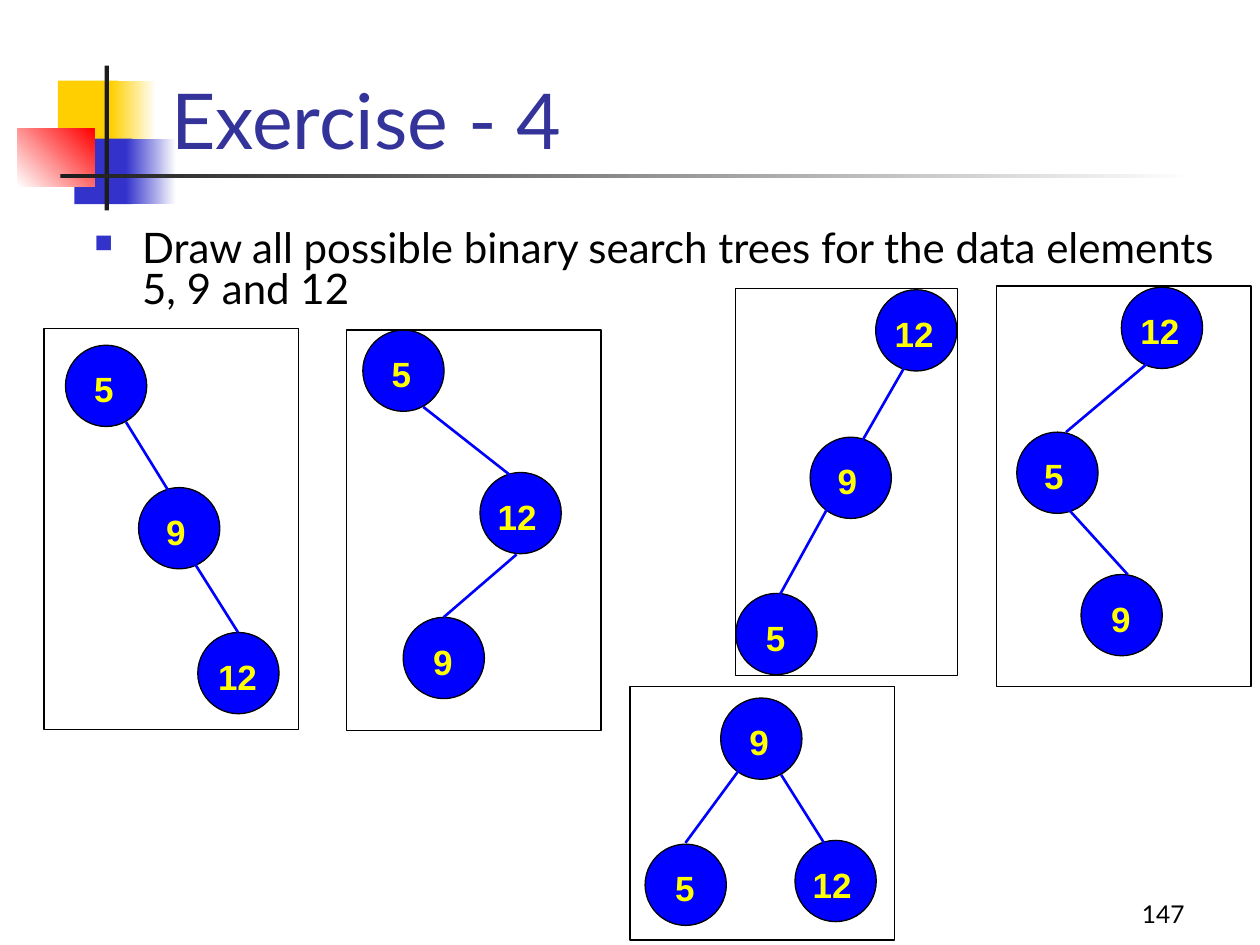
from lxml.etree import SubElement
from pptx import Presentation
from pptx.dml.color import RGBColor
from pptx.enum.shapes import MSO_CONNECTOR as Connector, MSO_SHAPE as Shape
from pptx.enum.text import MSO_ANCHOR as Anchor, PP_ALIGN as Align
from pptx.oxml.ns import qn
from pptx.util import Inches, Pt

COLUMNS, ROWS = 100, 75
WIDTH, HEIGHT = Inches(10), Inches(7.5)
NODE_SIZE = 6.45
LABEL_SHIFTS = (0.5, 0.6, 0.4)
LABEL_DROP, LABEL_WIDTH, LABEL_HEIGHT = 0.9, 5.1, 4.7

MOTIF = (
    ((4.6, 6.4, 4.8, 5.2), ("FFCF01",), 0),
    ((8.8, 6.4, 3.6, 5.2), ("FFCF01", "FFFFFF"), 0),
    ((5.9, 11, 4.6, 5.2), ("3333CC",), 0),
    ((10, 11, 4, 5.2), ("3333CC", "FFFFFF"), 0),
    ((1.4, 10.2, 6.1, 4.6), ("FFFFFF", "FF0000"), 45),
    ((8.3, 5.2, 0.35, 11.5), ("1C1C1C",), 0),
    ((4.8, 13.8, 90, 0.35), ("1C1C1C", "FFFFFF"), 0),
)

TREES = (
    ((50, 54.5, 21, 20.1),
     (("9", 7.2, 0.9), ("5", 1.2, 12.5), ("12", 13.1, 12.2)),
     ((12, 7, 15.4, 12.4), (8.6, 6.7, 4.4, 12.4))),
    ((27.5, 26.2, 20.2, 31.8),
     (("5", 1.3, 0), ("9", 4.5, 22.8), ("12", 10.6, 11.3)),
     ((6.1, 6.1, 13.1, 11.6), (13.5, 17.8, 7.7, 22.8))),
    ((79.1, 22.7, 20.2, 31.8),
     (("12", 9.9, 0.1), ("9", 6.7, 22.9), ("5", 1.6, 11.6)),
     ((5.5, 17.5, 10.4, 22.9), (12.5, 5.7, 5.5, 11.6))),
    ((58.4, 22.9, 17.6, 30.7),
     (("12", 11.1, 0.1), ("5", 0, 24.2), ("9", 5.9, 11.8)),
     ((13.7, 5.7, 9.8, 12.5), (7.3, 17.4, 3.5, 24.3))),
    ((3.5, 26.1, 20.2, 31.8),
     (("5", 1.7, 1.3), ("12", 12.2, 24.1), ("9", 7.5, 12.6)),
     ((6.5, 7.4, 9.9, 12.9), (12, 18.7, 15.4, 24.1))),
)


def color(code):
    """Turn a hex string into a colour."""
    return RGBColor.from_string(code)


def assign(target, **values):
    """Set several attributes of one object."""
    for name, value in values.items():
        setattr(target, name, value)


def place(*cells):
    """Turn alternating column and row values into slide lengths."""
    units = (WIDTH / COLUMNS, HEIGHT / ROWS)
    return [round(cell * units[index % 2]) for index, cell in enumerate(cells)]


def add_block(shapes, kind, box, fills=(), angle=0, outlined=False):
    """Add a shape with no fill, a plain fill or a two-colour gradient."""
    shape = shapes.add_shape(kind, *place(*box))
    shape.shadow.inherit = False
    if len(fills) == 2:
        shape.fill.gradient()
        shape.fill.gradient_angle = angle
        for position, (stop, code) in enumerate(zip(shape.fill.gradient_stops, fills)):
            stop.color.rgb = color(code)
            stop.position = position
    elif fills:
        shape.fill.solid()
        shape.fill.fore_color.rgb = color(fills[0])
    else:
        shape.fill.background()
    if outlined:
        shape.line.color.rgb = color("000000")
        shape.line.width = Pt(0.75)
    else:
        shape.line.fill.background()
    return shape


def add_text(shapes, box, text, size, code, font="Lato", bold=False,
             align=Align.LEFT, bullet=None, **frame_format):
    """Add a wrapped text box holding one paragraph."""
    frame = shapes.add_textbox(*place(*box)).text_frame
    assign(frame, word_wrap=True, **frame_format)
    paragraph = frame.paragraphs[0]
    paragraph.text = text
    paragraph.alignment = align
    if bullet:
        add_bullet(paragraph, **bullet)
    assign(paragraph.runs[0].font, name=font, size=Pt(size), bold=bold)
    paragraph.runs[0].font.color.rgb = color(code)
    return paragraph


def add_bullet(paragraph, character, code, percent, indent):
    """Give a paragraph a coloured bullet and a hanging indent."""
    properties = paragraph._p.get_or_add_pPr()
    properties.set("marL", str(indent))
    properties.set("indent", str(-indent))
    bullet_color = SubElement(properties, qn("a:buClr"))
    SubElement(bullet_color, qn("a:srgbClr"), val=code)
    SubElement(properties, qn("a:buSzPct"), val=str(percent * 1000))
    SubElement(properties, qn("a:buChar"), char=character)


def add_edge(shapes, ends):
    """Join two tree nodes with a blue line."""
    edge = shapes.add_connector(Connector.STRAIGHT, *place(*ends))
    edge.line.color.rgb = color("0000FF")
    edge.line.width = Pt(1.5)
    SubElement(edge._element.spPr, qn("a:effectLst"))


def add_tree(slide, box, nodes, edges):
    """Draw one framed binary search tree as a group."""
    shapes = slide.shapes.add_group_shape().shapes
    left, top = box[:2]
    add_block(shapes, Shape.RECTANGLE, box, outlined=True)
    for _, x, y in nodes:
        add_block(shapes, Shape.FLOWCHART_CONNECTOR,
                  (left + x, top + y, NODE_SIZE, NODE_SIZE), ("0000FF",), outlined=True)
    for x1, y1, x2, y2 in edges:
        add_edge(shapes, (left + x1, top + y1, left + x2, top + y2))
    for (value, x, y), shift in zip(nodes, LABEL_SHIFTS):
        label_box = (left + x + shift, top + y + LABEL_DROP, LABEL_WIDTH, LABEL_HEIGHT)
        add_text(shapes, label_box, value, 20, "FFFF00", "Arial", True, Align.CENTER,
                 margin_left=0, margin_right=0,
                 margin_top=Inches(0.09), margin_bottom=Inches(0.09))


def add_motif(slide):
    """Draw the coloured blocks and rules beside the title."""
    for box, fills, angle in MOTIF:
        add_block(slide.shapes, Shape.RECTANGLE, box, fills, angle)


def add_wording(slide):
    """Write the page number, the title and the task."""
    add_text(slide.shapes, (74.2, 69.2, 20.8, 5), "147", 14, "000000",
             align=Align.RIGHT, vertical_anchor=Anchor.BOTTOM)
    add_text(slide.shapes, (12.6, 1.1, 85.2, 12.5), "Exercise - 4", 44, "333399",
             vertical_anchor=Anchor.BOTTOM)
    task = add_text(
        slide.shapes, (6.5, 17.9, 91.4, 7.6),
        "Draw all possible binary search trees for the data elements 5, 9 and 12",
        24, "000000",
        bullet={"character": "■", "code": "3333CC", "percent": 60, "indent": Inches(0.38)})
    task.line_spacing = 0.8


def main():
    """Build the slide and save it."""
    presentation = Presentation()
    assign(presentation, slide_width=WIDTH, slide_height=HEIGHT)
    slide = presentation.slides.add_slide(presentation.slide_layouts[6])
    add_motif(slide)
    add_wording(slide)
    for box, nodes, edges in TREES:
        add_tree(slide, box, nodes, edges)
    presentation.save("out.pptx")


if __name__ == "__main__":
    main()
